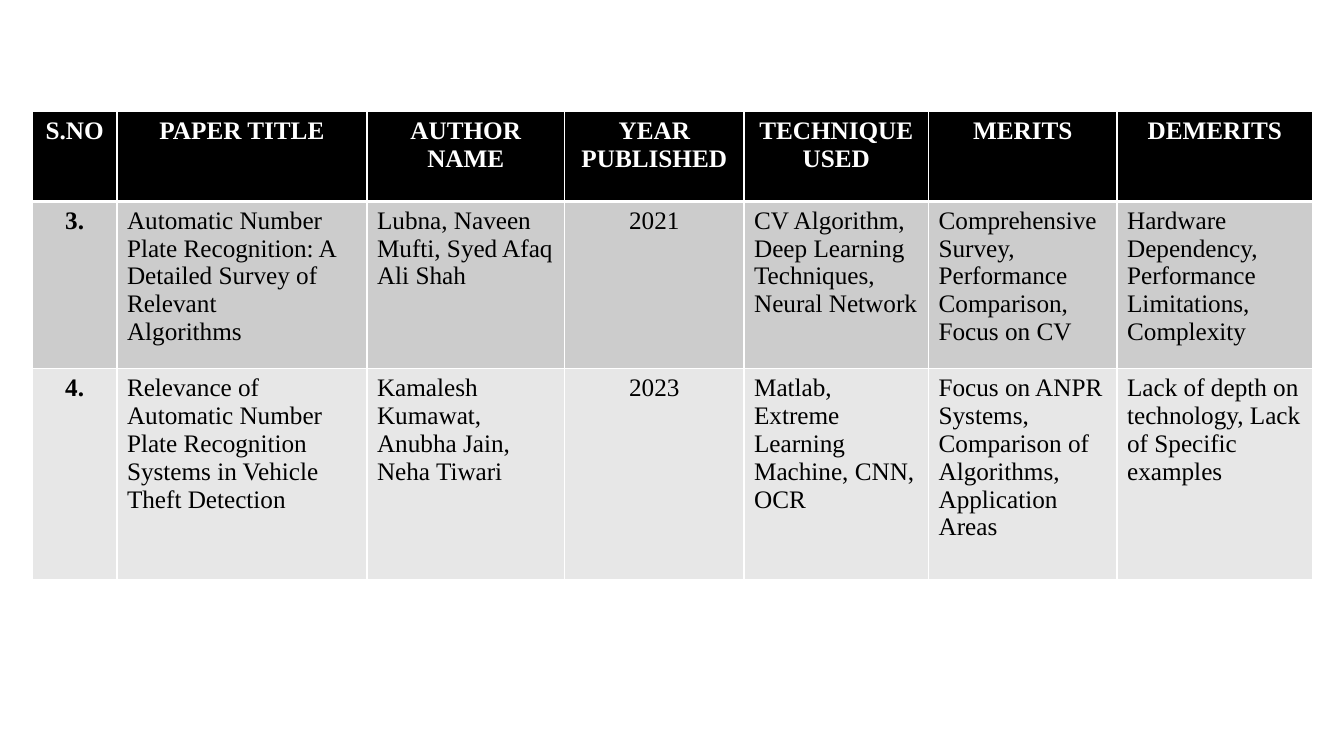
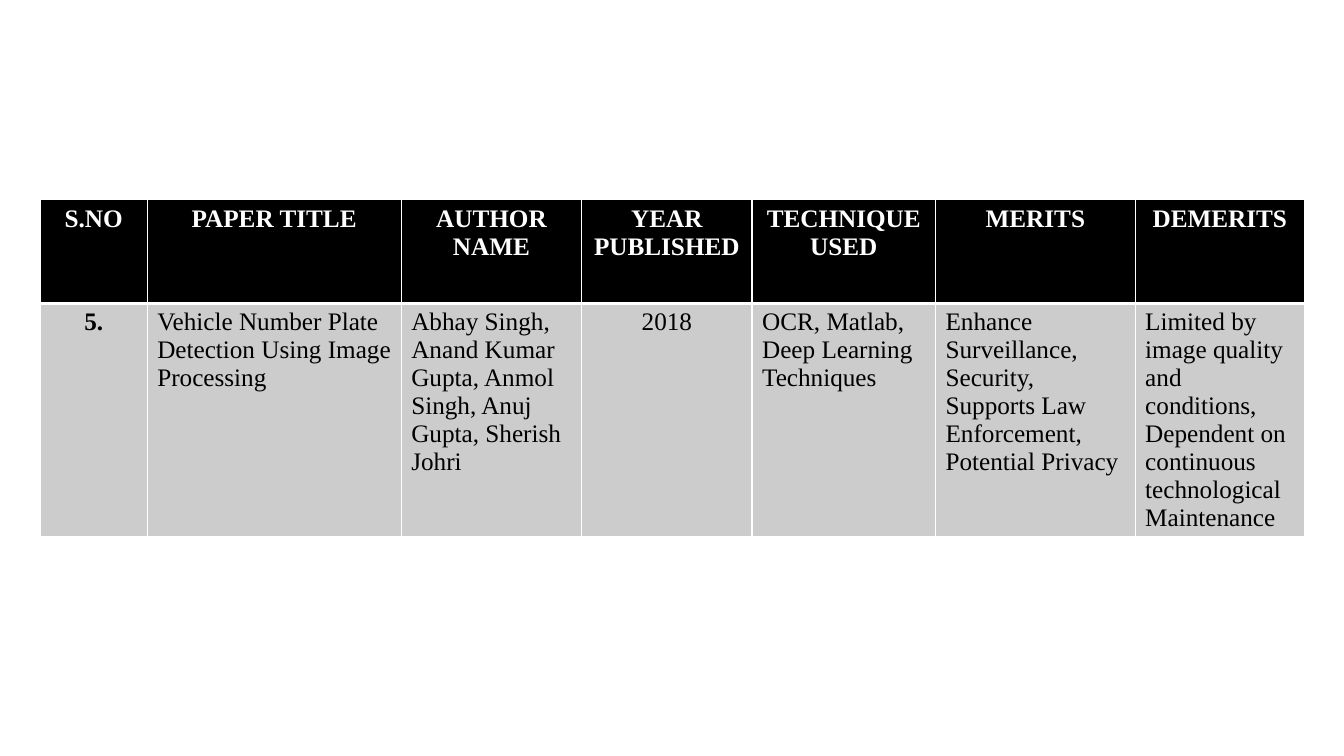
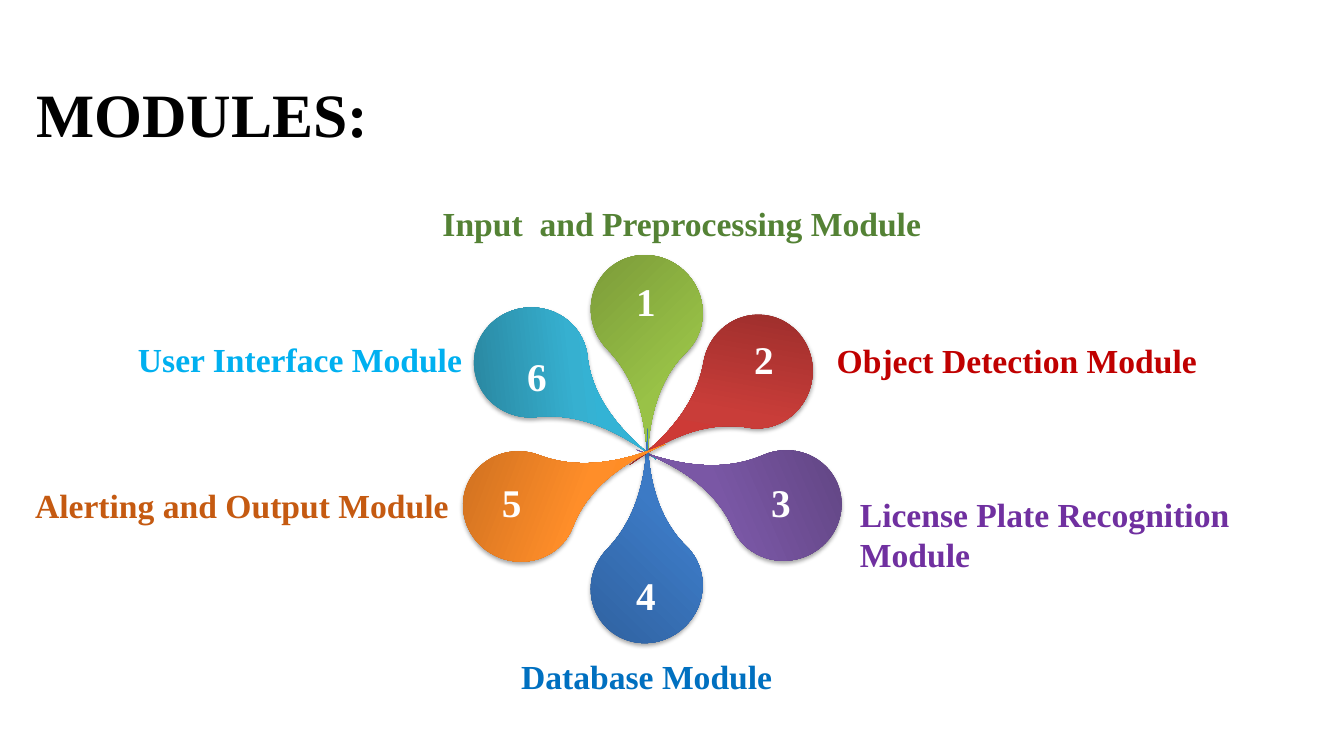
from copy import deepcopy

from lxml import etree
from pptx import Presentation
from pptx.dml.color import RGBColor
from pptx.enum.shapes import MSO_SHAPE
from pptx.enum.text import MSO_ANCHOR, PP_ALIGN
from pptx.oxml.ns import qn
from pptx.util import Inches, Pt

TEARDROP = MSO_SHAPE.TEAR
LEFT, CENTER = PP_ALIGN.LEFT, PP_ALIGN.CENTER
TOP, MIDDLE = MSO_ANCHOR.TOP, MSO_ANCHOR.MIDDLE

COLORS = {
    "black": "000000", "white": "FFFFFF", "band dark": "CCCCCC", "band light": "E7E7E7",
    "green": "548235", "red": "C00000", "purple": "7030A0",
    "blue": "0070C0", "orange": "C55A11", "cyan": "00B0F0",
}
PETAL_COLORS = {
    "green": ("759336", "99C247", "9BC545"),
    "red": ("992D2B", "C93D39", "CD3A36"),
    "purple": ("5D427D", "7A57A5", "7A56A7"),
    "blue": ("2D5C97", "3C7AC5", "397BC9"),
    "orange": ("C86C1F", "FF8E29", "FF8D25"),
    "cyan": ("29859E", "36B0D0", "33B3D5"),
}
GRADIENT_STOPS = (0, 0.8, 1)
PETAL_SIZE = (1.09, 1.13)
DIGIT_SIZE = (0.42, 0.57)

HEADINGS = ("S.NO", "PAPER TITLE", "AUTHOR NAME", "YEAR PUBLISHED",
            "TECHNIQUE USED", "MERITS", "DEMERITS")
NUMBER_COLUMN, YEAR_COLUMN = 0, 3

SURVEYS = [
    {
        "corner": (0.32, 1.11),
        "widths": (0.84, 2.48, 1.96, 1.78, 1.83, 1.87, 1.94),
        "heights": (0.89, 1.66, 2.09),
        "papers": [
            ("3.",
             "Automatic Number Plate Recognition: A Detailed Survey of Relevant\nAlgorithms",
             "Lubna, Naveen Mufti, Syed Afaq Ali Shah", "2021",
             "CV Algorithm, Deep Learning Techniques, Neural Network",
             "Comprehensive Survey, Performance Comparison, Focus on CV",
             "Hardware Dependency, Performance Limitations, Complexity"),
            ("4.",
             "Relevance of Automatic Number Plate Recognition Systems in Vehicle Theft Detection",
             "Kamalesh Kumawat, Anubha Jain, Neha Tiwari", "2023",
             "Matlab, Extreme Learning Machine, CNN, OCR",
             "Focus on ANPR Systems, Comparison of Algorithms, Application Areas",
             "Lack of depth on technology, Lack of Specific\nexamples"),
        ],
    },
    {
        "corner": (0.4, 1.98),
        "widths": (1.06, 2.52, 1.79, 1.69, 1.82, 1.98, 1.68),
        "heights": (1.03, 2.3),
        "papers": [
            ("5.", "Vehicle Number Plate Detection Using Image Processing",
             "Abhay Singh, Anand Kumar Gupta, Anmol Singh, Anuj Gupta, Sherish Johri", "2018",
             "OCR, Matlab, Deep Learning Techniques",
             "Enhance Surveillance, Security, Supports Law Enforcement, Potential Privacy",
             "Limited by image quality and conditions, Dependent on continuous "
             "technological Maintenance"),
        ],
    },
]

MODULES = [
    {"digit": "2", "color": "red", "petal": (6.97, 3.12), "turn": 189.9, "flip": False,
     "digit at": (7.38, 3.28), "label": "Object Detection Module",
     "label at": (8.2, 3.32, 4.95, 0.5)},
    {"digit": "6", "color": "cyan", "petal": (4.72, 3.03), "turn": 83.8, "flip": False,
     "digit at": (5.13, 3.45), "label": "User Interface Module",
     "label at": (1.27, 3.31, 3.43, 0.5)},
    {"digit": "3", "color": "purple", "petal": (7.24, 4.45), "turn": 246.6, "flip": False,
     "digit at": (7.55, 4.7), "label": "License Plate Recognition Module",
     "label at": (8.43, 4.85, 4.68, 0.91)},
    {"digit": "1", "color": "green", "petal": (5.87, 2.52), "turn": 135.8, "flip": False,
     "digit at": (6.21, 2.7), "label": "Input  and Preprocessing Module",
     "label at": (4.29, 1.96, 6.36, 0.5)},
    {"digit": "4", "color": "blue", "petal": (5.87, 5.26), "turn": 44.2, "flip": True,
     "digit at": (6.21, 5.62), "label": "Database Module",
     "label at": (5.07, 6.46, 3.37, 0.5)},
    {"digit": "5", "color": "orange", "petal": (4.61, 4.46), "turn": 110.8, "flip": True,
     "digit at": (4.88, 4.7), "label": "Alerting and Output Module",
     "label at": (0.25, 4.76, 4.54, 0.5)},
]


class Deck:
    """Hold the shared style and the current slide, and draw each kind of element."""

    def __init__(self):
        self.presentation = Presentation()
        self.presentation.slide_width = Inches(13.33)
        self.presentation.slide_height = Inches(7.5)
        self.slide = None

    def new_slide(self):
        self.slide = self.presentation.slides.add_slide(self.presentation.slide_layouts[6])

    def set_text(self, frame, text, color, size, bold=True, align=LEFT):
        frame.text = text
        font_format = {"name": "Times New Roman", "size": Pt(size), "bold": bold}
        for paragraph in frame.paragraphs:
            paragraph.alignment = align
            for run in paragraph.runs:
                for attribute, value in font_format.items():
                    setattr(run.font, attribute, value)
                run.font.color.rgb = RGBColor.from_string(COLORS[color])

    def text(self, place, text, color, size, anchor=TOP):
        frame = self.slide.shapes.add_textbox(*map(Inches, place)).text_frame
        frame.word_wrap = True
        frame.vertical_anchor = anchor
        self.set_text(frame, text, color, size)

    def border(self, cell, widths):
        properties = cell._tc.get_or_add_tcPr()
        for side, width in widths.items():
            line = etree.SubElement(properties, qn(f"a:ln{side}"), w=str(Pt(width)))
            fill = etree.SubElement(line, qn("a:solidFill"))
            etree.SubElement(fill, qn("a:srgbClr"), val=COLORS["white"])

    def table(self, corner, widths, heights, papers):
        rows = [HEADINGS, *papers]
        size = (sum(widths), sum(heights))
        table = self.slide.shapes.add_table(
            len(rows), len(widths), *map(Inches, corner + size)).table
        table.horz_banding = False
        for column, width in zip(table.columns, widths):
            column.width = Inches(width)
        for index, (row, height, entries) in enumerate(zip(table.rows, heights, rows)):
            row.height = Inches(height)
            heading = index == 0
            band = "black" if heading else "band dark" if index % 2 else "band light"
            rules = {"L": 1, "R": 1, "T": 3 if index == 1 else 1, "B": 3 if heading else 1}
            for position, (cell, entry) in enumerate(zip(row.cells, entries)):
                self.border(cell, rules)
                cell.fill.solid()
                cell.fill.fore_color.rgb = RGBColor.from_string(COLORS[band])
                centered = heading or position in (NUMBER_COLUMN, YEAR_COLUMN)
                self.set_text(cell.text_frame, entry, "white" if heading else "black", 18,
                              bold=heading or position == NUMBER_COLUMN,
                              align=CENTER if centered else LEFT)

    def petal(self, corner, turn, flip, shades):
        petal = self.slide.shapes.add_shape(TEARDROP, *map(Inches, corner + PETAL_SIZE))
        petal.adjustments[0] = 2
        petal.rotation = turn
        petal.line.fill.background()
        properties = petal._element.spPr
        if flip:
            properties.find(qn("a:xfrm")).set("flipH", "1")
        petal.fill.gradient()
        petal.fill.gradient_angle = 90
        stops = properties.find(f".//{qn('a:gsLst')}")
        stops.insert(1, deepcopy(stops[0]))
        for stop, position, shade in zip(petal.fill.gradient_stops, GRADIENT_STOPS, shades):
            stop.position = position
            stop.color.rgb = RGBColor.from_string(shade)
        petal.shadow.inherit = False
        shadow = etree.SubElement(
            properties.find(qn("a:effectLst")), qn("a:outerShdw"), blurRad=str(Pt(3.1)),
            dist=str(Pt(1.8)), dir="5400000", rotWithShape="0")
        color = etree.SubElement(shadow, qn("a:srgbClr"), val=COLORS["black"])
        etree.SubElement(color, qn("a:alpha"), val="35000")


def main():
    deck = Deck()
    for survey in SURVEYS:
        deck.new_slide()
        deck.table(**survey)

    deck.new_slide()
    deck.text((0.26, 0.64, 5.52, 0.95), "MODULES:", "black", 44, MIDDLE)
    for module in MODULES:
        deck.petal(module["petal"], module["turn"], module["flip"],
                   PETAL_COLORS[module["color"]])
    for module in sorted(MODULES, key=lambda module: module["digit"]):
        deck.text(module["digit at"] + DIGIT_SIZE, module["digit"], "white", 28)
        deck.text(module["label at"], module["label"], module["color"], 24)
    deck.presentation.save("out.pptx")


if __name__ == "__main__":
    main()
